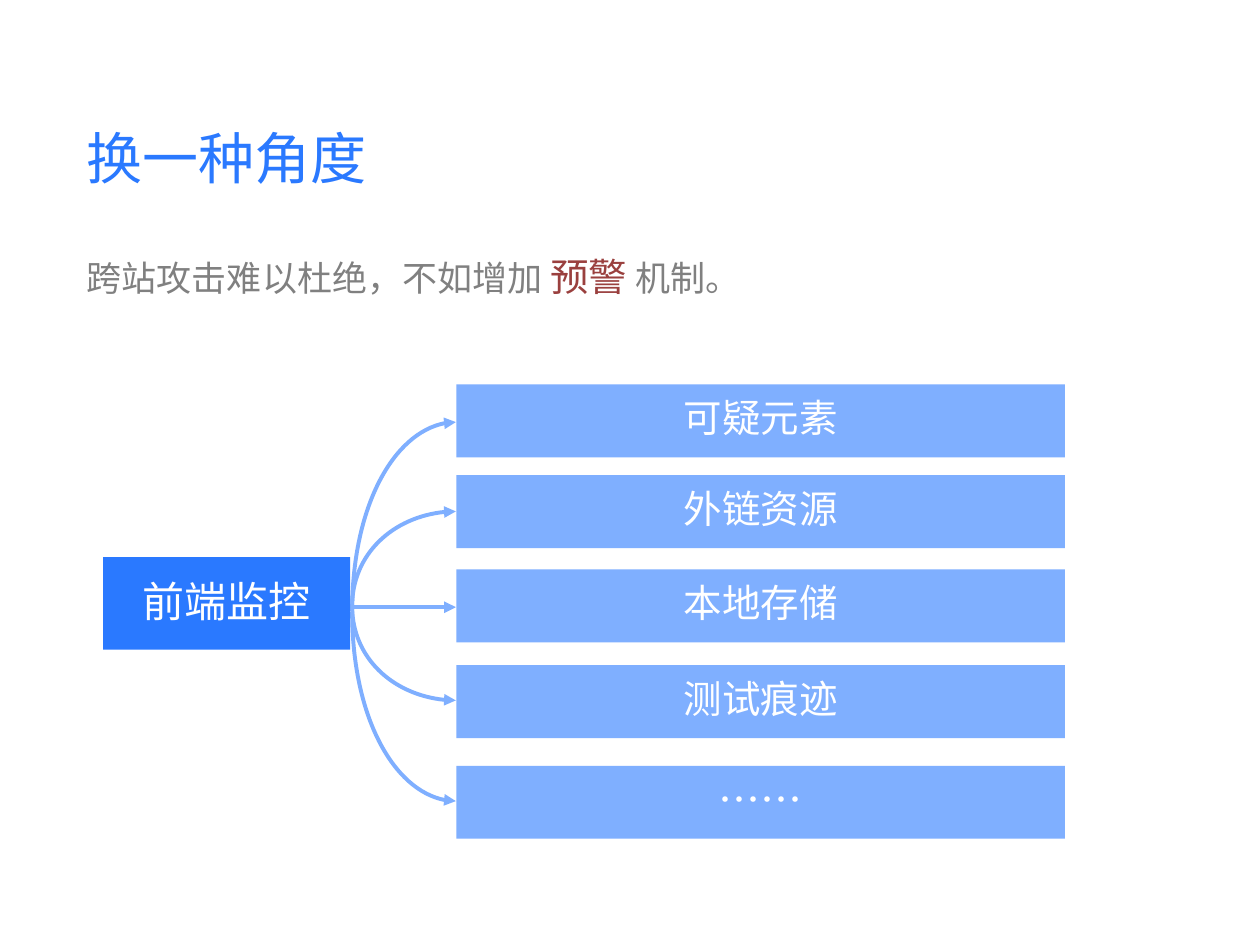
from lxml import etree
from pptx import Presentation
from pptx import util as u
from pptx.dml.color import RGBColor
from pptx.enum import shapes, text
from pptx.oxml.ns import qn

FONT = "Noto Sans CJK SC"
BLUE, LIGHT, WHITE, GREY, RED = "2A79FF", "7FAFFF", "FFFFFF", "808080", "9A403E"

# Each branch: label, text size, top of its bar, arrow start y, arrow end y (cm)
BRANCHES = [
    ("……", 24, 15.44, 12.34, 16.15),
    ("测试痕迹", 22, 13.41, 12.22, 14.12),
    ("本地存储", 22, 11.48, 12.24, 12.24),
    ("外链资源", 22, 9.58, 12.22, 10.31),
    ("可疑元素", 22, 7.75, 12.32, 8.51),
]
BAR_X, BAR_W, BAR_H = 9.2, 12.27, 1.47
ARROW_X1, ARROW_X2 = 7.1, 9.19
BEND = 0.55  # control point share for a quarter ellipse


def rgb(value):
    return RGBColor.from_string(value)


def apply(obj, formats):
    for name, value in formats.items():
        setattr(obj, name, value)


def write(tf, runs, margin=0, frame=None, para=None):
    """Fill a text frame with one paragraph of (text, size, colour) runs."""
    edges = ("left", "top", "right", "bottom")
    apply(tf, {f"margin_{edge}": u.Cm(margin) for edge in edges})
    apply(tf, {"word_wrap": True, **(frame or {})})
    p = tf.paragraphs[0]
    apply(p, para or {})
    for content, size, color in runs:
        r = p.add_run()
        r.text = content
        apply(r.font, {"size": u.Pt(size), "name": FONT})
        r.font.color.rgb = rgb(color)
        etree.SubElement(r.font._element, qn("a:ea"), typeface=FONT)


def add_text(slide, x, y, w, h, runs):
    box = slide.shapes.add_textbox(*map(u.Cm, (x, y, w, h)))
    write(box.text_frame, runs)


def add_box(slide, x, y, w, h, fill, run, **para):
    sp = slide.shapes.add_shape(shapes.MSO_SHAPE.RECTANGLE, *map(u.Cm, (x, y, w, h)))
    sp.shadow.inherit = False
    sp.fill.solid()
    sp.fill.fore_color.rgb = rgb(fill)
    sp.line.fill.background()
    write(sp.text_frame, [run], 0.13,
          {"vertical_anchor": text.MSO_ANCHOR.MIDDLE},
          {"alignment": text.PP_ALIGN.CENTER, **para})
    return sp


def style_arrow(sp):
    sp.line.color.rgb = rgb(LIGHT)
    sp.line.width = u.Pt(2.25)
    etree.SubElement(sp.line._get_or_add_ln(), qn("a:tailEnd"), type="triangle")


def add_straight_arrow(slide, y):
    line = slide.shapes.add_connector(
        shapes.MSO_CONNECTOR.STRAIGHT, *map(u.Cm, (ARROW_X1, y, ARROW_X2, y)))
    style_arrow(line)
    etree.SubElement(line._element.spPr, qn("a:effectLst"))


def add_curved_arrow(slide, y1, y2):
    """Quarter ellipse that leaves vertically and arrives horizontally."""
    builder = slide.shapes.build_freeform(u.Cm(ARROW_X1), u.Cm(y1))
    builder.add_line_segments([(u.Cm(ARROW_X2), u.Cm(y2))], close=False)
    sp = builder.convert_to_shape()
    sp.shadow.inherit = False
    sp.fill.background()
    style_arrow(sp)

    # Turn the straight segment into a cubic curve
    start, end = sp._element.findall(".//" + qn("a:pt"))
    xa, ya, xb, yb = (int(pt.get(k)) for pt in (start, end) for k in "xy")
    segment = end.getparent()
    segment.tag = qn("a:cubicBezTo")
    controls = [(xa, ya + BEND * (yb - ya)), (xb - BEND * (xb - xa), yb)]
    for i, (x, y) in enumerate(controls):
        pt = etree.Element(qn("a:pt"), x=str(round(x)), y=str(round(y)))
        segment.insert(i, pt)


def main():
    prs = Presentation()
    apply(prs, {"slide_width": u.Cm(25.4), "slide_height": u.Cm(19.05)})
    slide = prs.slides.add_slide(prs.slide_layouts[6])

    # Bars of the branches
    for label, size, top, _, _ in BRANCHES:
        add_box(slide, BAR_X, top, BAR_W, BAR_H, LIGHT, (label, size, WHITE),
                line_spacing=0.85, space_before=u.Pt(7))

    # Arrows from the root to the bars
    for _, _, _, y1, y2 in BRANCHES:
        if y1 == y2:
            add_straight_arrow(slide, y1)
        else:
            add_curved_arrow(slide, y1, y2)

    # Root
    root = add_box(slide, 2.08, 11.23, 4.98, 1.87, BLUE, ("前端监控", 24, WHITE))
    root.text_frame.margin_bottom = u.Cm(0.25)

    # Title and statement
    add_text(slide, 1.75, 2.49, 9.96, 1.73, [("换一种角度", 32, BLUE)])
    add_text(slide, 1.75, 5.11, 21.9, 1.27, [
        ("跨站攻击难以杜绝，不如增加 ", 20, GREY),
        ("预警", 22, RED),
        (" 机制。", 20, GREY),
    ])

    prs.save("out.pptx")


if __name__ == "__main__":
    main()
